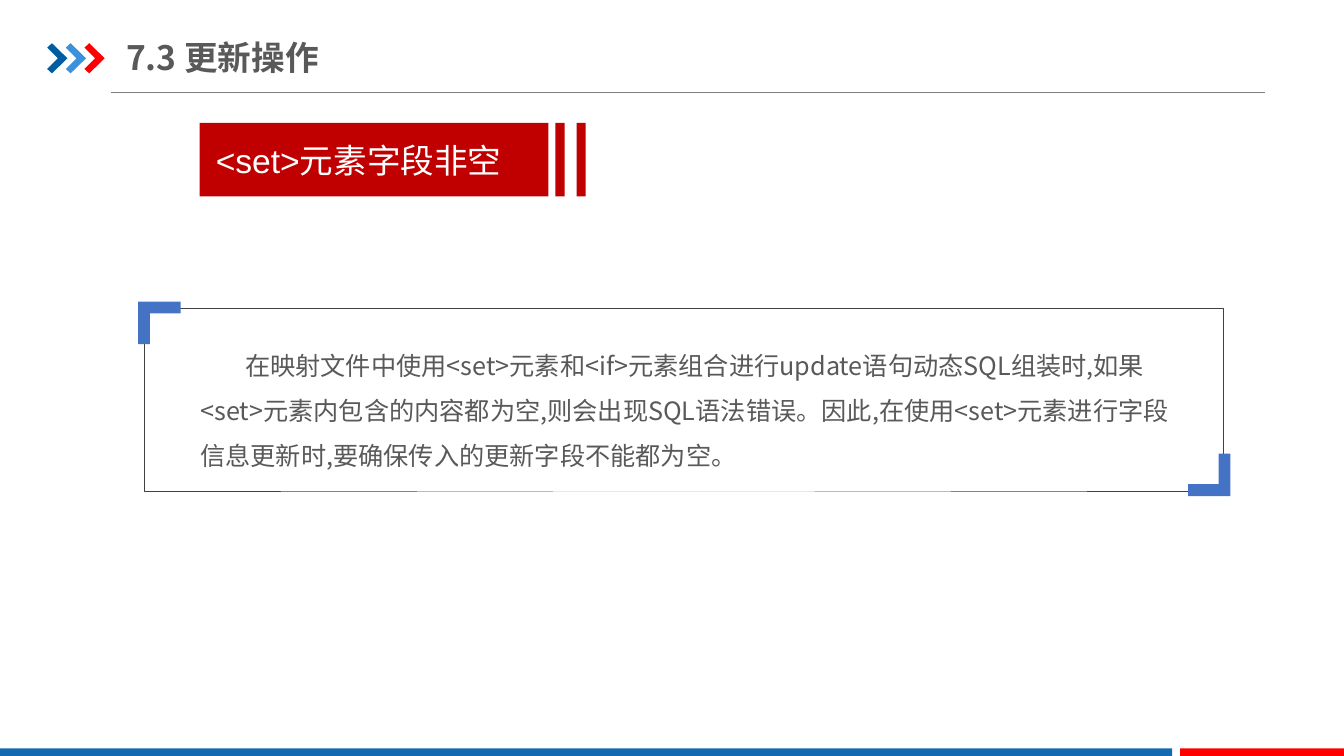
from lxml import etree
from pptx import Presentation
from pptx.dml.color import RGBColor
from pptx.enum.shapes import MSO_CONNECTOR, MSO_SHAPE
from pptx.enum.text import MSO_ANCHOR, PP_ALIGN
from pptx.oxml.ns import qn
from pptx.util import Cm, Pt

RECTANGLE = MSO_SHAPE.RECTANGLE
STRAIGHT = MSO_CONNECTOR.STRAIGHT
TOP, MIDDLE = MSO_ANCHOR.TOP, MSO_ANCHOR.MIDDLE
LEFT = PP_ALIGN.LEFT

CHINESE_FONT = "Noto Sans CJK SC"
GREY, RED, TAG_RED, CORNER_BLUE = "595959", "FF0000", "C00000", "4472C4"
CHEVRON = [(0, 0.11), (0.12, 0), (0.51, 0.38), (0.12, 0.76), (0, 0.65), (0.27, 0.38)]
CORNER = [(0, 0), (1.07, 0), (1.07, 0.3), (0.3, 0.3), (0.3, 1.07), (0, 1.07)]
WARNING = (
    "在映射文件中使用<set>元素和<if>元素组合进行update语句动态SQL组装时,如果<set>元素内包含的内容都为空,"
    "则会出现SQL语法错误。因此,在使用<set>元素进行字段信息更新时,要确保传入的更新字段不能都为空。"
).replace(",", ",")


def color(value):
    """Return the colour for a hex string."""
    return RGBColor.from_string(value)


def paint(shape, fill=None, line=None, width=0.25):
    """Set the fill and outline of a shape and remove its shadow."""
    shape.shadow.inherit = False
    if fill:
        shape.fill.solid()
        shape.fill.fore_color.rgb = color(fill)
    else:
        shape.fill.background()
    if line:
        shape.line.color.rgb = color(line)
        shape.line.width = Pt(width)
    else:
        shape.line.fill.background()


def add_block(page, left, top, width, height, **style):
    """Add a rectangle measured in centimetres."""
    block = page.shapes.add_shape(RECTANGLE, Cm(left), Cm(top), Cm(width), Cm(height))
    paint(block, **style)
    return block


def add_outline(page, left, top, points, fill, turn=1):
    """Add a filled polygon; a turn of -1 rotates it by half a circle."""
    corners = [(Cm(left + turn * x), Cm(top + turn * y)) for x, y in points]
    builder = page.shapes.build_freeform(*corners[0])
    builder.add_line_segments(corners[1:], close=True)
    paint(builder.convert_to_shape(), fill)


def add_rule(page, left, right, top, line):
    """Add a thin horizontal line."""
    rule = page.shapes.add_connector(STRAIGHT, Cm(left), Cm(top), Cm(right), Cm(top))
    rule.line.color.rgb = color(line)
    rule.line.width = Pt(0.5)
    etree.SubElement(rule._element.spPr, qn("a:effectLst"))


def write(box, text, size, fill, font=CHINESE_FONT, bold=False, anchor=TOP,
          inset=0.25, indent=0, spacing=1.0):
    """Write one formatted paragraph into a shape."""
    frame = box.text_frame
    frame.word_wrap = True
    frame.vertical_anchor = anchor
    frame.margin_left = Cm(inset)
    para = frame.paragraphs[0]
    para.alignment = LEFT
    para.line_spacing = spacing
    if indent:
        para._p.get_or_add_pPr().set("indent", str(Cm(indent)))
    span = para.add_run()
    span.text = text
    span.font.size = Pt(size)
    span.font.bold = bold
    span.font.name = font
    span.font.color.rgb = color(fill)
    east_asian = etree.SubElement(span._r.get_or_add_rPr(), qn("a:ea"))
    east_asian.set("typeface", CHINESE_FONT)


def add_text(page, left, top, width, height, text, **style):
    """Add a text box measured in centimetres."""
    box = page.shapes.add_textbox(Cm(left), Cm(top), Cm(width), Cm(height))
    write(box, text, **style)


def add_header(page):
    """Add the chevrons, the title and the line below it."""
    add_rule(page, 2.79, 31.88, 2.32, "808080")
    for index, fill in enumerate(("005DA2", "3992DB", RED)):
        add_outline(page, 1.19 + 0.47 * index, 1.09, CHEVRON, fill)
    add_text(page, 3.18, 0.74, 6, 1.4, "7.3 更新操作", size=24, fill=GREY,
             bold=True, anchor=MIDDLE, inset=0)


def add_footer(page):
    """Add the two bars along the bottom edge."""
    add_block(page, 0, 18.86, 29.54, 0.19, fill="1369B2")
    add_block(page, 29.74, 18.86, 4.13, 0.19, fill=RED)


def add_tag(page):
    """Add the topic label with its two stripes."""
    tag = add_block(page, 5.03, 3.1, 8.79, 1.85, fill=TAG_RED)
    write(tag, "<set>元素字段非空", size=24, fill="FFFFFF", font="Arial",
          anchor=MIDDLE, inset=0.41)
    for left in (14, 14.53):
        add_block(page, left, 3.1, 0.23, 1.85, fill=TAG_RED)


def add_warning(page):
    """Add the framed paragraph with its two corner marks."""
    add_text(page, 4.8, 8.31, 25.4, 3.23, WARNING, size=18, fill=GREY,
             indent=1.13, spacing=1.5)
    add_block(page, 3.63, 7.77, 27.2, 4.6, line="404040")
    add_outline(page, 3.48, 7.6, CORNER, CORNER_BLUE)
    add_outline(page, 31.01, 12.5, CORNER, CORNER_BLUE, turn=-1)


def main():
    """Build the slide and save it."""
    deck = Presentation()
    deck.slide_width, deck.slide_height = Cm(33.87), Cm(19.05)
    page = deck.slides.add_slide(deck.slide_layouts[6])
    add_header(page)
    add_footer(page)
    add_tag(page)
    add_warning(page)
    deck.save("out.pptx")


if __name__ == "__main__":
    main()
